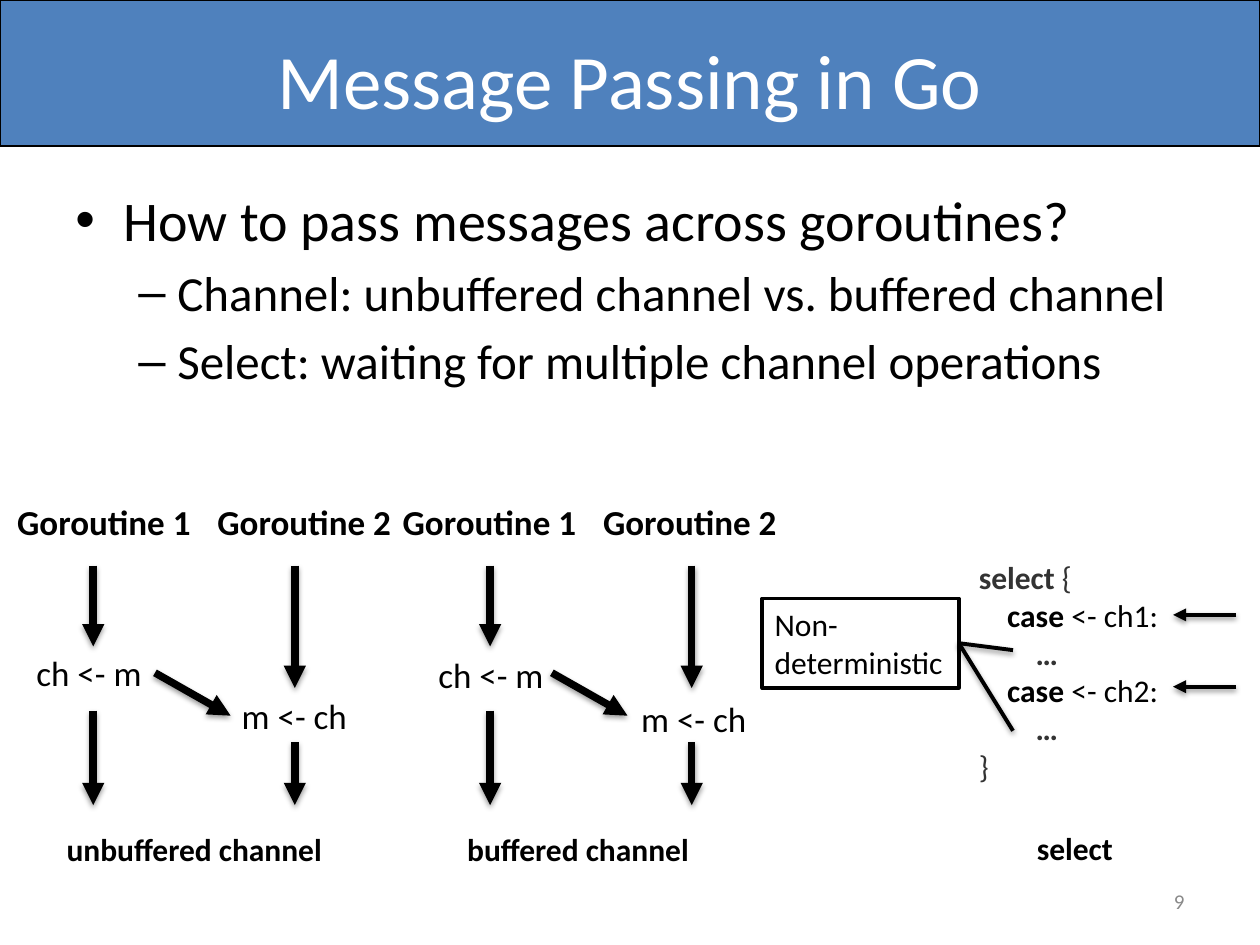
from dataclasses import dataclass

from lxml.etree import SubElement
from pptx import Presentation
from pptx.dml.color import RGBColor
from pptx.enum.shapes import MSO_CONNECTOR, MSO_SHAPE
from pptx.enum.text import MSO_ANCHOR, MSO_AUTO_SIZE, PP_ALIGN
from pptx.oxml.ns import qn
from pptx.util import Inches, Pt

COLUMNS, ROWS = 100, 75
WIDTH, HEIGHT = Inches(10), Inches(7.5)


@dataclass(frozen=True)
class Theme:
    """Colours, font and type sizes of the slide."""
    font: str = "Calibri"
    banner: str = "4F81BD"
    ink: str = "000000"
    paper: str = "FFFFFF"
    code: str = "333333"
    muted: str = "898989"
    title: int = 44
    question: int = 32
    answer: int = 28
    step: int = 20
    caption: int = 18
    number: int = 12
    thick: float = 4.25
    medium: float = 2.5
    thin: float = 2.25


@dataclass(frozen=True)
class Box:
    """An area of the slide in grid columns and rows."""
    left: float
    top: float
    width: float
    height: float

    def area(self, left, top, width, height):
        """Return an area placed from this one's top left corner."""
        return Box(self.left + left, self.top + top, width, height)

    def point(self, column, row):
        """Return a point of this area in slide lengths."""
        return (round((self.left + column) * WIDTH / COLUMNS),
                round((self.top + row) * HEIGHT / ROWS))

    def frame(self):
        """Return left, top, width and height in slide lengths."""
        return (*self.point(0, 0), round(self.width * WIDTH / COLUMNS),
                round(self.height * HEIGHT / ROWS))


THEME = Theme()


def style(font, size, color=THEME.ink, bold=False):
    """Give a font the theme's typeface with a size, colour and weight."""
    font.name, font.size, font.bold = THEME.font, Pt(size), bold
    font.color.rgb = RGBColor.from_string(color)


def add_label(slide, box, words, size, color=THEME.ink, bold=False,
              align=PP_ALIGN.LEFT, anchor=MSO_ANCHOR.TOP, wrap=False):
    """Place one line of text in a box."""
    label = slide.shapes.add_textbox(*box.frame())
    frame = label.text_frame
    frame.text, frame.word_wrap, frame.vertical_anchor = words, wrap, anchor
    if anchor == MSO_ANCHOR.TOP:
        frame.auto_size = MSO_AUTO_SIZE.SHAPE_TO_FIT_TEXT
    frame.paragraphs[0].alignment = align
    style(frame.paragraphs[0].runs[0].font, size, color, bold)


def add_line(slide, box, start, end, weight, arrow=True):
    """Draw a softly shadowed line between two points of a box."""
    line = slide.shapes.add_connector(
        MSO_CONNECTOR.STRAIGHT, *box.point(*start), *box.point(*end))
    line.line.width = Pt(weight)
    line.line.color.rgb = RGBColor.from_string(THEME.ink)
    properties = line._element.spPr
    if arrow:
        SubElement(properties.find(qn("a:ln")), qn("a:tailEnd"), type="triangle")
    effects = SubElement(properties, qn("a:effectLst"))
    shadow = SubElement(effects, qn("a:outerShdw"), blurRad=str(Pt(3.1)),
                        dist=str(Pt(1.6)), dir="5400000", rotWithShape="0")
    shade = SubElement(shadow, qn("a:srgbClr"), val=THEME.ink)
    SubElement(shade, qn("a:alpha"), val="38000")
    return line


def add_rectangle(slide, box, weight):
    """Place an unfilled, black-edged rectangle."""
    rectangle = slide.shapes.add_shape(MSO_SHAPE.RECTANGLE, *box.frame())
    rectangle.shadow.inherit = False
    rectangle.fill.background()
    rectangle.line.width = Pt(weight)
    rectangle.line.color.rgb = RGBColor.from_string(THEME.ink)
    return rectangle


def add_banner(slide, box, title):
    """Place the coloured band and the title over it."""
    band = add_rectangle(slide, box, 1)
    band.fill.solid()
    band.fill.fore_color.rgb = RGBColor.from_string(THEME.banner)
    add_label(slide, box.area(5, 0, 90, 12.5), title, THEME.title, THEME.paper,
              align=PP_ALIGN.CENTER, anchor=MSO_ANCHOR.MIDDLE, wrap=True)


def add_outline(slide, box, question, answers):
    """Place the bulleted question with its dashed answers."""
    frame = slide.shapes.add_textbox(*box.frame()).text_frame
    frame.word_wrap = True
    frame.text = "\n".join([question, *answers])
    for index, paragraph in enumerate(frame.paragraphs):
        level = min(index, 1)
        bullet, margin, hang, size = (("•", 0.38, 0.38, THEME.question),
                                      ("–", 0.81, 0.31, THEME.answer))[level]
        paragraph.level = level
        if index:
            paragraph.space_before = Pt(size * 0.2)
        properties = paragraph._p.get_or_add_pPr()
        properties.set("marL", str(Inches(margin)))
        properties.set("indent", str(-Inches(hang)))
        SubElement(properties, qn("a:buFont"), typeface="Arial")
        SubElement(properties, qn("a:buChar"), char=bullet)
        style(paragraph.runs[0].font, size)


def add_channel(slide, box, caption, heading_left, send, receive, caption_span):
    """Draw two goroutine timelines with a message handed across."""
    for index in range(2):
        heading = box.area(heading_left + 15.9 * index, 0, 18.7, 4.4)
        add_label(slide, heading, f"Goroutine {index + 1}", THEME.step,
                  bold=True, align=PP_ALIGN.CENTER, wrap=True)
    timelines = ((7.4, 5.7, 12.1), (7.4, 17.2, 24.7),
                 (23.4, 5.7, 15.4), (23.4, 19.7, 24.7))
    for column, start, end in timelines:
        add_line(slide, box, (column, start), (column, end), THEME.thick)
    add_line(slide, box, (12.3, 14.2), (18.3, 17.6), THEME.thick)
    for words, corner in (("ch <- m", send), ("m <- ch", receive)):
        add_label(slide, box.area(*corner, 10.5, 4.4), words, THEME.step)
    left, width = caption_span
    add_label(slide, box.area(left, 26.2, width, 4), caption, THEME.caption, bold=True)


def add_code(slide, box):
    """Place the select statement."""
    ink, code = THEME.ink, THEME.code
    statements = (
        (("select", code, True), (" {", code, False)),
        (("    case", ink, True), (" <- ch1:", ink, False), None,
         ("        …", code, True)),
        (("    case ", ink, True), ("<- ch2:", ink, False), None,
         ("        …", code, True)),
        (("}", code, False),),
    )
    frame = slide.shapes.add_textbox(*box.frame()).text_frame
    frame.word_wrap = False
    frame.auto_size = MSO_AUTO_SIZE.SHAPE_TO_FIT_TEXT
    for index, statement in enumerate(statements):
        paragraph = frame.add_paragraph() if index else frame.paragraphs[0]
        for piece in statement:
            if piece is None:
                paragraph.add_line_break()
                continue
            words, color, bold = piece
            run = paragraph.add_run()
            run.text = words
            style(run.font, THEME.caption, color, bold)


def add_select(slide, box):
    """Draw the select statement, its inputs and the remark on its choice."""
    add_code(slide, box.area(16.2, 0, 16.4, 19.2))
    for row in (5, 10.7):
        add_line(slide, box, (37.6, row), (32.6, row), THEME.medium)
    remark = add_rectangle(slide, box.area(0, 3.7, 15.6, 7.1), THEME.thin)
    frame = remark.text_frame
    frame.text, frame.word_wrap = "Non-deterministic", True
    frame.vertical_anchor = MSO_ANCHOR.TOP
    frame.paragraphs[0].alignment = PP_ALIGN.LEFT
    style(frame.paragraphs[0].runs[0].font, THEME.caption)
    for row in (7.8, 14.2):
        branch = add_line(slide, box, (19.9, row), (15.6, 7.25), THEME.thin, arrow=False)
        branch.end_connect(remark, 3)
    add_label(slide, box.area(20.8, 21.5, 8.1, 4), "select", THEME.caption, bold=True)


def main():
    """Build and save the slide."""
    deck = Presentation()
    deck.slide_width, deck.slide_height = WIDTH, HEIGHT
    slide = deck.slides.add_slide(deck.slide_layouts[6])
    add_banner(slide, Box(0, 0, COLUMNS, 11.6), "Message Passing in Go")
    add_outline(slide, Box(5, 14.2, 90, 49.5), "How to pass messages across goroutines?",
                ("Channel: unbuffered channel vs. buffered channel",
                 "Select: waiting for multiple channel operations"))
    add_channel(slide, Box(0, 39.2, 31.5, 30.2), "unbuffered channel",
                -1.1, (1.9, 12), (18.2, 15.4), (4.3, 22.5))
    add_channel(slide, Box(31.5, 39.2, 31.5, 30.2), "buffered channel",
                -2, (2.3, 12.2), (18.4, 15.7), (4.6, 19.8))
    add_select(slide, Box(60.5, 43.8, 39.5, 25.5))
    add_label(slide, Box(71.7, 69.5, 23.3, 4), "9", THEME.number, THEME.muted,
              align=PP_ALIGN.RIGHT, anchor=MSO_ANCHOR.MIDDLE, wrap=True)
    deck.save("out.pptx")


if __name__ == "__main__":
    main()
